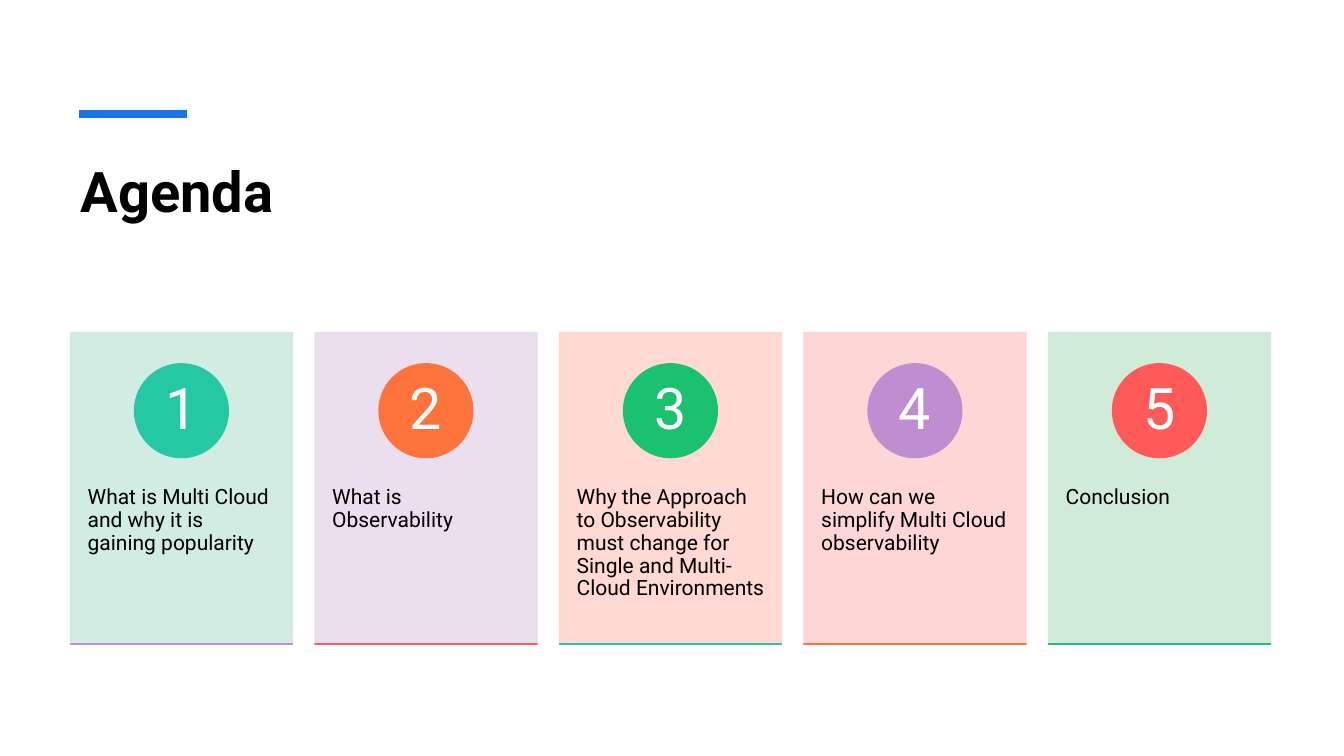
"""Build the agenda slide: a title above five numbered cards."""
from lxml import etree
from pptx import Presentation
from pptx.dml.color import RGBColor
from pptx.enum.shapes import MSO_CONNECTOR, MSO_SHAPE
from pptx.enum.text import MSO_ANCHOR, MSO_AUTO_SIZE, PP_ALIGN
from pptx.oxml.ns import qn
from pptx.util import Inches, Pt

RECT, OVAL = MSO_SHAPE.RECTANGLE, MSO_SHAPE.OVAL
STRAIGHT = MSO_CONNECTOR.STRAIGHT
LEFT, CENTER = PP_ALIGN.LEFT, PP_ALIGN.CENTER
TOP, MIDDLE = MSO_ANCHOR.TOP, MSO_ANCHOR.MIDDLE
NO_FIT = MSO_AUTO_SIZE.NONE

TITLE = "Agenda"
FONT = "Roboto"
ACCENT = "1973EB"
TOPICS = [
    ("What is Multi Cloud and why it is gaining popularity", "CDEBE0", "25C8A2", "BF8ED1"),
    ("What is Observability", "E8DBEE", "FE733C", "FE5A5A"),
    ("Why the Approach to Observability must change for Single and Multi-Cloud Environments",
     "FFD5CE", "1AC16E", "25C8A2"),
    ("How can we simplify Multi Cloud observability", "FFD2D2", "BF8ED1", "FE733C"),
    ("Conclusion", "CDE9D5", "FE5A5A", "1AC16E"),
]

CARD_LEFT, CARD_TOP, CARD_WIDTH, CARD_HEIGHT = 0.7, 3.3, 2.2, 3.09
CARD_PITCH = 2.425
BADGE_TOP, BADGE_SIZE = 3.61, 0.93
NUMBER_SIZE = 0.65
TOPIC_TOP, TOPIC_HEIGHT = 4.47, 1.85


def paint(color_format, color):
    color_format.rgb = RGBColor.from_string(color)


def write(frame, text, size, color="000000", bold=False, align=LEFT, anchor=TOP,
          insets=(0.1, 0.05, 0.1, 0.05), spacing=0.9):
    frame.word_wrap = True
    frame.auto_size = NO_FIT
    frame.vertical_anchor = anchor
    (frame.margin_left, frame.margin_top,
     frame.margin_right, frame.margin_bottom) = map(Inches, insets)
    paragraph = frame.paragraphs[0]
    paragraph.alignment = align
    paragraph.line_spacing = spacing
    run = paragraph.add_run()
    run.text = text
    run.font.name = FONT
    run.font.size = Pt(size)
    run.font.bold = bold
    paint(run.font.color, color)


def add_block(shapes, kind, box, color, opacity=100):
    block = shapes.add_shape(kind, *map(Inches, box))
    block.shadow.inherit = False
    block.fill.solid()
    paint(block.fill.fore_color, color)
    block.line.width = Pt(1)
    paint(block.line.color, color)
    if opacity < 100:
        for swatch in block.element.spPr.iter(qn("a:srgbClr")):
            etree.SubElement(swatch, qn("a:alpha"), val=str(opacity * 1000))


def add_card(shapes, number, topic, card_color, badge_color, base_color):
    left = CARD_LEFT + (number - 1) * CARD_PITCH
    center = left + CARD_WIDTH / 2
    number_top = BADGE_TOP + (BADGE_SIZE - NUMBER_SIZE) / 2

    add_block(shapes, RECT, (left, CARD_TOP, CARD_WIDTH, CARD_HEIGHT), card_color, opacity=90)
    topic_box = shapes.add_textbox(*map(Inches, (left, TOPIC_TOP, CARD_WIDTH, TOPIC_HEIGHT)))
    write(topic_box.text_frame, topic, 15, insets=(0.17, 0.36, 0.16, 0.36))
    add_block(shapes, OVAL, (center - BADGE_SIZE / 2, BADGE_TOP, BADGE_SIZE, BADGE_SIZE),
              badge_color)
    number_box = shapes.add_textbox(
        *map(Inches, (center - NUMBER_SIZE / 2, number_top, NUMBER_SIZE, NUMBER_SIZE)))
    write(number_box.text_frame, str(number), 41, color="FFFFFF", align=CENTER,
          anchor=MIDDLE, insets=(0.07, 0.01, 0.07, 0.01))
    add_block(shapes, RECT, (left, CARD_TOP + CARD_HEIGHT, CARD_WIDTH, 0), base_color)


def main():
    deck = Presentation()
    deck.slide_width, deck.slide_height = Inches(13.33), Inches(7.5)
    slide = deck.slides.add_slide(deck.slide_layouts[5])

    title = slide.shapes.title
    title.left, title.top, title.width, title.height = map(Inches, (0.7, 1.5, 11.91, 1.2))
    write(title.text_frame, TITLE, 40, bold=True, spacing=1.0)

    accent = slide.shapes.add_connector(STRAIGHT, *map(Inches, (0.78, 1.13, 1.85, 1.13)))
    accent.line.width = Pt(6)
    paint(accent.line.color, ACCENT)
    etree.SubElement(accent.element.spPr, qn("a:effectLst"))

    cards = slide.shapes.add_group_shape()
    for number, topic in enumerate(TOPICS, start=1):
        add_card(cards.shapes, number, *topic)

    deck.save("out.pptx")


if __name__ == "__main__":
    main()
